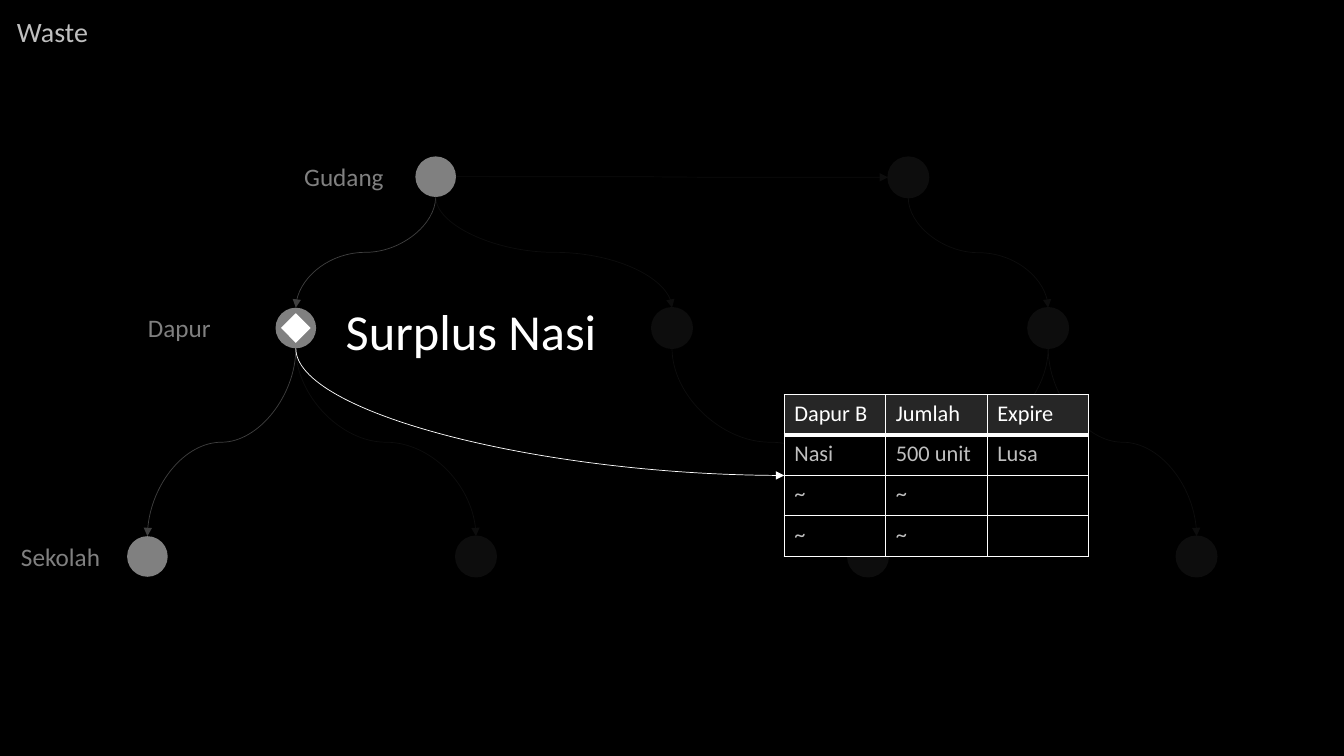
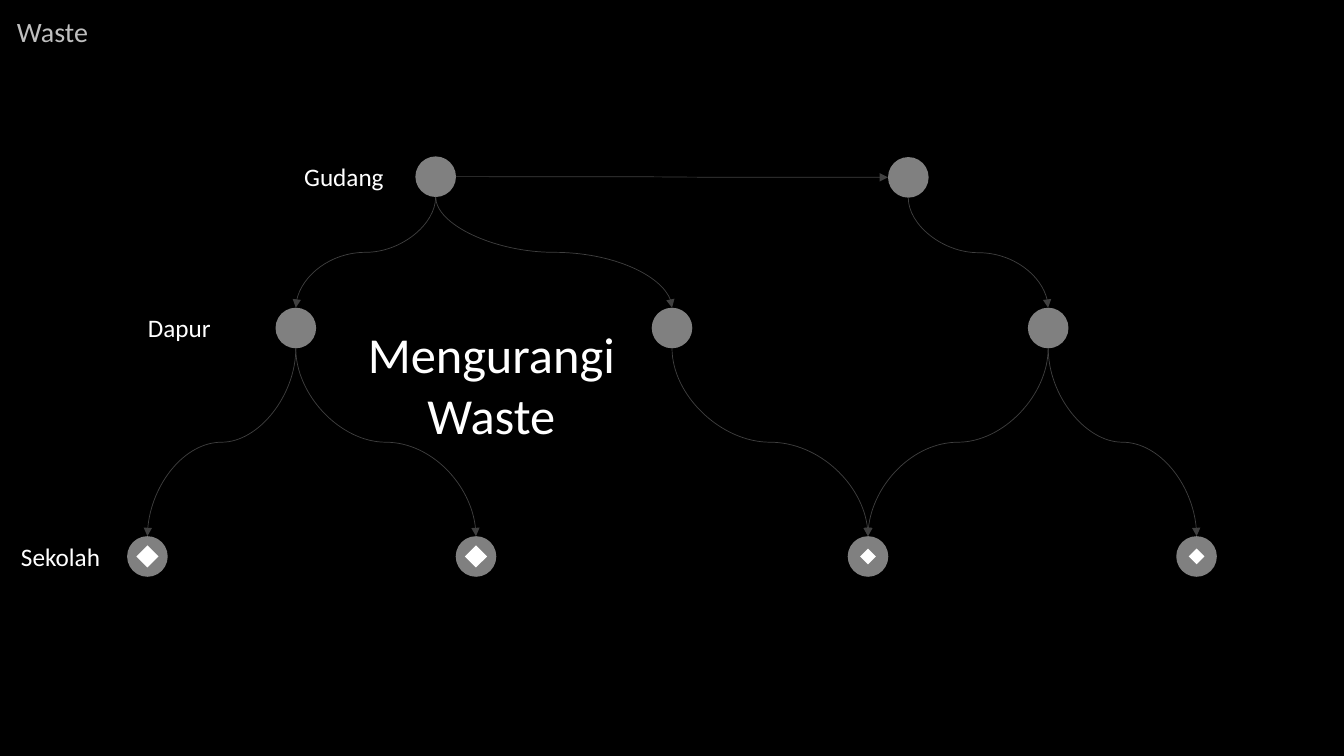
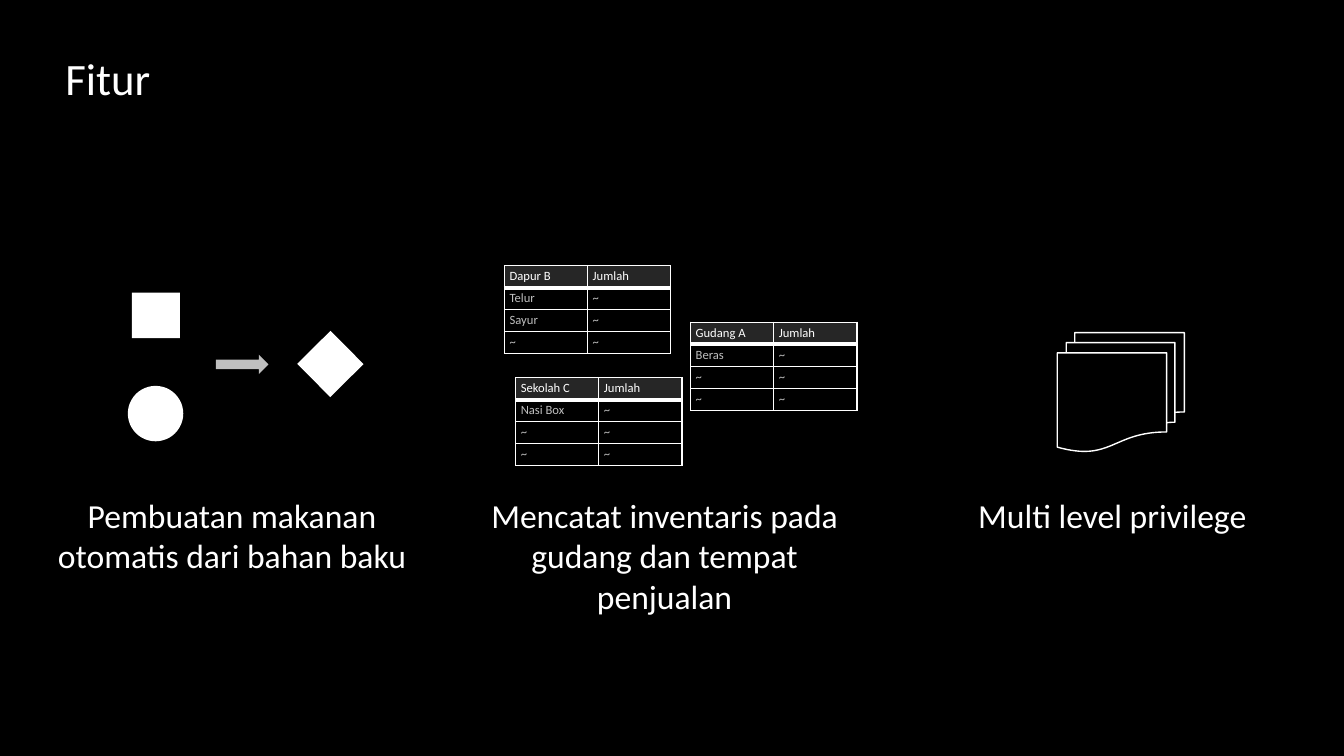
from lxml import etree
from pptx import Presentation
from pptx.dml.color import RGBColor
from pptx.enum import shapes, text
from pptx.oxml.ns import qn
from pptx.util import Pt

BLACK = RGBColor(0x00, 0x00, 0x00)
WHITE = RGBColor(0xFF, 0xFF, 0xFF)
SILVER = RGBColor(0xBF, 0xBF, 0xBF)
GREY = RGBColor(0x80, 0x80, 0x80)
EDGE = RGBColor(0x40, 0x40, 0x40)
HEADER = RGBColor(0x26, 0x26, 0x26)
DIM = RGBColor(0x0D, 0x0D, 0x0D)

KIND = shapes.MSO_SHAPE
LEFT, CENTER = text.PP_ALIGN.LEFT, text.PP_ALIGN.CENTER

# Supply tree: node centres mirror each other around the middle of the slide
MIDDLE, RADIUS = 480, 14.5
GUDANG_Y, DAPUR_Y, SEKOLAH_Y = 126.2, 234.3, 397.5
NODES = {
    "gudang_a": (MIDDLE - 168.8, GUDANG_Y),
    "gudang_b": (MIDDLE + 168.8, GUDANG_Y + 0.5),
    "dapur_a": (MIDDLE - 268.7, DAPUR_Y),
    "dapur_b": (MIDDLE, DAPUR_Y),
    "dapur_c": (MIDDLE + 268.7, DAPUR_Y),
    "sekolah_a": (MIDDLE - 374.7, SEKOLAH_Y),
    "sekolah_b": (MIDDLE - 140, SEKOLAH_Y),
    "sekolah_c": (MIDDLE + 140, SEKOLAH_Y),
    "sekolah_d": (MIDDLE + 374.7, SEKOLAH_Y),
}
ROUTES = [
    ("gudang_a", "dapur_a"), ("gudang_a", "dapur_b"), ("gudang_a", "gudang_b"),
    ("gudang_b", "dapur_c"), ("dapur_c", "sekolah_d"), ("dapur_c", "sekolah_c"),
    ("dapur_b", "sekolah_c"), ("dapur_a", "sekolah_b"), ("dapur_a", "sekolah_a"),
]
LEVELS = [("Gudang", 210.2, 111.6, 72), ("Dapur", 98.6, 219.6, 60),
          ("Sekolah", 7.9, 383, 71)]
# Connection sites of a round node
TOP, NODE_LEFT, BOTTOM, NODE_RIGHT = 0, 2, 4, 6
TABLE_LEFT = 1


class Deck:
    """Shared style plus the slide being filled."""

    font = "Calibri"

    def __init__(self):
        self.prs = Presentation()
        self.prs.slide_width, self.prs.slide_height = Pt(960), Pt(540)
        backdrop = self.prs.slide_master.background.fill
        backdrop.solid()
        backdrop.fore_color.rgb = BLACK
        self.slide = None

    def new_slide(self):
        self.slide = self.prs.slides.add_slide(self.prs.slide_layouts[6])

    def style(self, paragraph, size, color):
        for run in paragraph.runs:
            run.font.name, run.font.size = self.font, Pt(size)
            run.font.color.rgb, run.font.bold = color, False

    def label(self, words, x, y, w, h, size, color=WHITE, align=LEFT, wrap=True):
        box = self.slide.shapes.add_textbox(Pt(x), Pt(y), Pt(w), Pt(h))
        frame = box.text_frame
        frame.text, frame.word_wrap = words, wrap
        frame.auto_size = text.MSO_AUTO_SIZE.SHAPE_TO_FIT_TEXT
        frame.paragraphs[0].alignment = align
        self.style(frame.paragraphs[0], size, color)

    def shape(self, kind, x, y, w, h, fill=WHITE, line=None):
        item = self.slide.shapes.add_shape(kind, Pt(x), Pt(y), Pt(w), Pt(h))
        item.shadow.inherit = False
        item.fill.solid()
        item.fill.fore_color.rgb = fill
        if line is None:
            item.line.fill.background()
        else:
            item.line.color.rgb, item.line.width = line, Pt(1)
        return item

    def diamond(self, center, side):
        x, y = center
        square = self.shape(KIND.RECTANGLE, x - side / 2, y - side / 2, side, side)
        square.rotation = 45.2

    def curve(self, start, end, color, ends, sites, upright=True, bend=3):
        """Curved arrow; an upright one leaves its start downwards."""
        (x1, y1), (x2, y2) = start, end
        w, h = abs(x2 - x1), abs(y2 - y1)
        if upright:
            w, h = h, w
        left, top = (x1 + x2 - w) / 2, (y1 + y2 - h) / 2
        arrow = self.slide.shapes.add_connector(
            shapes.MSO_CONNECTOR.CURVE, Pt(left), Pt(top), Pt(left + w), Pt(top + h))
        arrow.line.color.rgb, arrow.line.width = color, Pt(0.5)
        props = arrow._element.spPr
        props.find(qn("a:prstGeom")).set("prst", f"curvedConnector{bend}")
        if upright:
            frame = props.find(qn("a:xfrm"))
            rightward = x2 > x1
            frame.set("rot", str((270 if rightward else 90) * 60000))
            if rightward:
                frame.set("flipH", "1")
        etree.SubElement(props.find(qn("a:ln")), qn("a:tailEnd"), type="triangle")
        etree.SubElement(props, qn("a:effectLst"))
        # Glue both ends to their shapes
        glue = arrow._element.find(".//" + qn("p:cNvCxnSpPr"))
        for tag, target, site in zip(("a:stCxn", "a:endCxn"), ends, sites):
            etree.SubElement(glue, qn(tag), id=str(target.shape_id), idx=str(site))

    def border(self, cell, widths):
        props = cell._tc.get_or_add_tcPr()
        for place, (side, width) in enumerate(zip("LRTB", widths)):
            line = etree.Element(qn(f"a:ln{side}"), w=str(Pt(width)))
            fill = etree.SubElement(line, qn("a:solidFill"))
            etree.SubElement(fill, qn("a:srgbClr"), val=str(WHITE))
            props.insert(place, line)

    def table(self, rows, x, y, col_w, row_h, size, margins=(7.2, 3.6)):
        count = len(rows[0])
        frame = self.slide.shapes.add_table(
            len(rows), count, Pt(x), Pt(y), Pt(col_w * count), Pt(row_h * len(rows)))
        grid = frame.table
        for column in grid.columns:
            column.width = Pt(col_w)
        for r, values in enumerate(rows):
            grid.rows[r].height = Pt(row_h)
            for c, value in enumerate(values):
                cell = grid.cell(r, c)
                cell.margin_left = cell.margin_right = Pt(margins[0])
                cell.margin_top = cell.margin_bottom = Pt(margins[1])
                cell.fill.solid()
                cell.fill.fore_color.rgb = BLACK if r else HEADER
                cell.text_frame.text = value
                self.style(cell.text_frame.paragraphs[0], size, SILVER if r else WHITE)
                self.border(cell, (1, 1, 3 if r == 1 else 1, 1 if r else 3))
        return frame

    def tree(self, lit, level_color):
        """Distribution tree in which only the lit nodes stand out."""
        self.label("Waste", 5, 6.5, 144, 31.5, 20, SILVER)
        drawn = {}
        for name, (x, y) in NODES.items():
            fill, line = (GREY, None) if name in lit else (DIM, DIM)
            drawn[name] = self.shape(KIND.FLOWCHART_CONNECTOR, x - RADIUS, y - RADIUS,
                                     2 * RADIUS, 2 * RADIUS, fill, line)
        for source, target in ROUTES:
            (x1, y1), (x2, y2) = NODES[source], NODES[target]
            color = EDGE if source in lit and target in lit else DIM
            ends = drawn[source], drawn[target]
            if y2 - y1 > RADIUS:
                self.curve((x1, y1 + RADIUS), (x2, y2 - RADIUS), color, ends,
                           (BOTTOM, TOP))
            else:
                self.curve((x1 + RADIUS, y1), (x2 - RADIUS, y2), color, ends,
                           (NODE_RIGHT, NODE_LEFT), upright=False)
        for words, x, y, w in LEVELS:
            self.label(words, x, y, w, 29, 18, level_color, wrap=False)
        return drawn


def surplus_slide(deck):
    deck.new_slide()
    nodes = deck.tree({"gudang_a", "dapur_a", "sekolah_a"}, GREY)
    kitchen = NODES["dapur_a"]
    deck.diamond(kitchen, 15)
    deck.label("Surplus Nasi", 239, 211, 195, 51, 36, align=CENTER, wrap=False)
    stock = deck.table(
        [("Dapur B", "Jumlah", "Expire"), ("Nasi", "500 unit", "Lusa"),
         ("~", "~", ""), ("~", "~", "")], 560.2, 282, 72.5, 28.8, 16)
    deck.curve((kitchen[0], kitchen[1] + RADIUS), (560.2, 339.6), WHITE,
               (nodes["dapur_a"], stock), (BOTTOM, TABLE_LEFT), bend=2)


def reduction_slide(deck):
    deck.new_slide()
    deck.tree(set(NODES), WHITE)
    for school, side in zip("abcd", (11.2, 11.2, 8, 8)):
        deck.diamond(NODES[f"sekolah_{school}"], side)
    deck.label("Mengurangi Waste", 251, 227.5, 200, 94.5, 36, align=CENTER)


def feature_slide(deck):
    deck.new_slide()
    deck.label("Fitur", 39.6, 32.4, 537, 46, 32)
    captions = [
        ("Pembuatan makanan otomatis dari bahan baku", 14.2, 152.6),
        ("Mencatat inventaris pada gudang dan tempat penjualan", 323.2, 94.5),
        ("Multi level privilege", 643, 36),
    ]
    for words, x, h in captions:
        deck.label(words, x, 350, 303, h, 24, align=CENTER)

    # Ingredients turning into a dish
    deck.shape(KIND.RECTANGLE, 94.2, 209, 34.4, 32.5)
    deck.diamond((236, 260), 33.5)
    deck.shape(KIND.OVAL, 91.3, 275.6, 39.6, 39.6)
    deck.shape(KIND.RIGHT_ARROW, 154.2, 253.4, 37.6, 13.8, SILVER)

    # Inventory tables
    inventories = [
        ("Gudang A", ("Beras", "~", "~"), 493.3, 230.2),
        ("Dapur B", ("Telur", "Sayur", "~"), 360.4, 189.8),
        ("Sekolah C", ("Nasi Box", "~", "~"), 368.4, 269.8),
    ]
    for place, goods, x, y in inventories:
        rows = [(place, "Jumlah")] + [(item, "~") for item in goods]
        deck.table(rows, x, y, 59.4, 15.75, 9, margins=(3.6, 2))

    # Privilege levels
    deck.shape(KIND.FLOWCHART_MULTIDOCUMENT, 755.2, 237.6, 90.8, 85, BLACK, WHITE)


def main():
    deck = Deck()
    surplus_slide(deck)
    reduction_slide(deck)
    feature_slide(deck)
    deck.prs.save("out.pptx")


if __name__ == "__main__":
    main()
